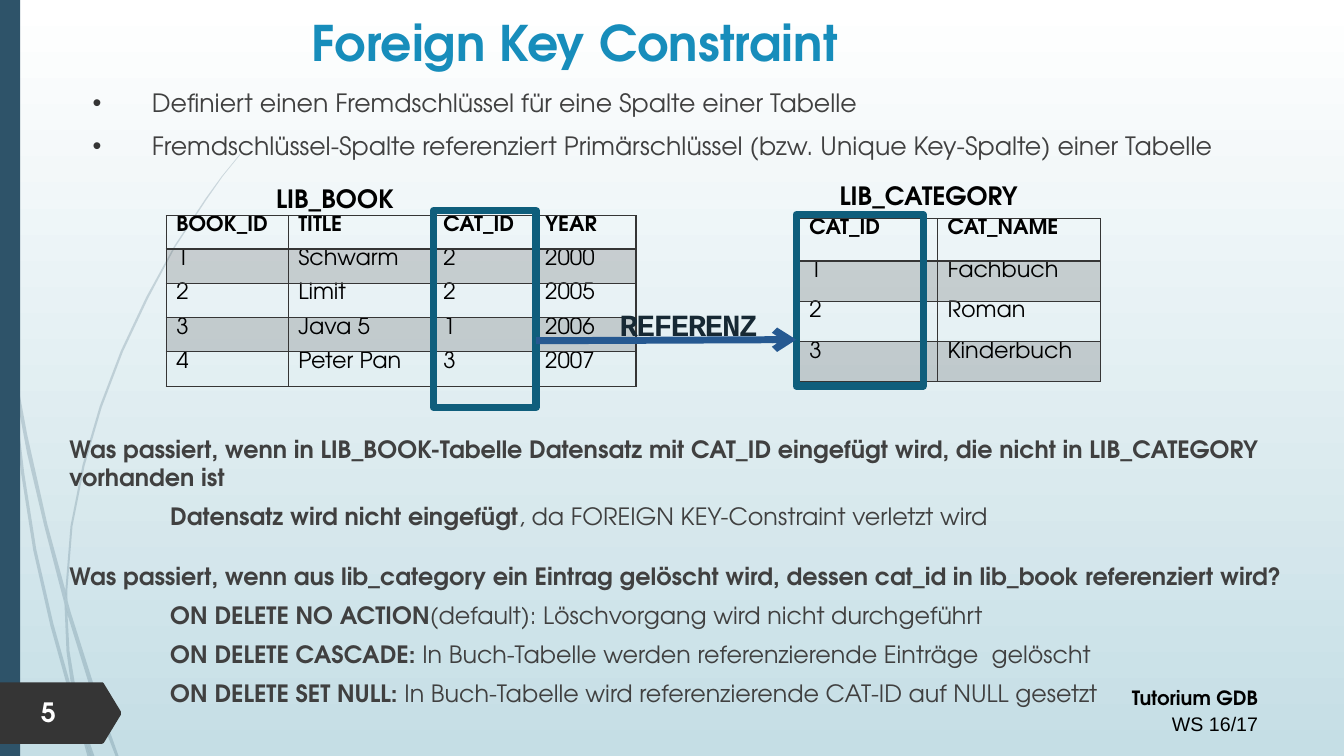
from lxml import etree
from pptx import Presentation
from pptx import util as u
from pptx.dml.color import RGBColor
from pptx.enum import shapes, text
from pptx.oxml.ns import qn

SANS = "TeX Gyre Adventor"
DARK, NAVY, GREY, BLACK = "353535", "2E5369", "404040", "000000"

# Closed outlines of the curved wisps, in hundredths of an inch (0.72 pt)
WISPS = [
    [(8, 350), (6, 322), (0, 282), (0, 299), (8, 344)],
    [(44, 522), (64, 599), (65, 586), (47, 520), (27, 431), (11, 345), (13, 376), (27, 450)],
    [(70, 607), (67, 596), (67, 610), (93, 694), (115, 751), (118, 751), (97, 692)],
    [(91, 751), (94, 751), (80, 711)],
    [(71, 683), (53, 619), (36, 545), (24, 469), (13, 376), (8, 350), (21, 470),
     (33, 546), (50, 621), (70, 693), (77, 714), (75, 707)],
    [(64, 599), (66, 646), (71, 683), (73, 692), (80, 711), (79, 706), (69, 646),
     (67, 610), (67, 608)],
    [(67, 584), (72, 522), (84, 462), (101, 404), (122, 349), (147, 296), (174, 245),
     (205, 198), (221, 175), (238, 154), (238, 153), (220, 175), (204, 197), (173, 244),
     (145, 295), (120, 348), (99, 403), (82, 461), (70, 522), (65, 584), (65, 586), (67, 596)],
    [(77, 714), (87, 751), (90, 751)],
    [(67, 608), (67, 596), (65, 586), (64, 599)],
    [(74, 692), (71, 683), (75, 707), (77, 714), (90, 751), (91, 751), (80, 711)],
]
PAGE_TAB = [(0, 677), (102, 677), (103, 678), (120, 706), (120, 709), (103, 737), (101, 738), (0, 738)]

BOOKS = [("BOOK_ID", "TITLE", "CAT_ID", "YEAR"),
         ("1", "Schwarm", "2", "2000"),
         ("2", "Limit", "2", "2005"),
         ("3", "Java 5", "1", "2006"),
         ("4", "Peter Pan", "3", "2007")]
CATEGORIES = [("CAT_ID", "CAT_NAME"), ("1", "Fachbuch"), ("2", "Roman"), ("3", "Kinderbuch")]

DEFINITION = ["Definiert einen Fremdschlüssel für eine Spalte einer Tabelle",
              "Fremdschlüssel-Spalte referenziert Primärschlüssel "
              "(bzw. Unique Key-Spalte) einer Tabelle"]
# Bold part, regular part, indent, space before
QUESTIONS = [
    ("Was passiert, wenn in LIB_BOOK-Tabelle Datensatz mit CAT_ID eingefügt wird, "
     "die nicht in LIB_CATEGORY vorhanden ist", "", 0, 0),
    ("Datensatz wird nicht eingefügt", ", da FOREIGN KEY-Constraint verletzt wird", 72, 7.5),
    ("Was passiert, wenn aus lib_category ein Eintrag gelöscht wird, "
     "dessen cat_id in lib_book referenziert wird?", "", 0, 22),
    ("ON DELETE NO ACTION", "(default): Löschvorgang wird nicht durchgeführt", 72, 7.5),
    ("ON DELETE CASCADE: ", "In Buch-Tabelle werden referenzierende Einträge  gelöscht", 72, 7.5),
    ("ON DELETE SET NULL: ", "In Buch-Tabelle wird referenzierende CAT-ID auf NULL gesetzt", 72, 7.5),
]


def rgb(value):
    return RGBColor.from_string(value)


def pts(*lengths):
    return [u.Pt(length) for length in lengths]


def add_xml(parent, tag, **attributes):
    return etree.SubElement(parent, qn(tag), attributes)


def paint(fill, holder, color, alpha=None):
    """Solid fill; holder is the XML element the fill sits in."""
    fill.solid()
    fill.fore_color.rgb = rgb(color)
    if alpha:
        add_xml(holder.find(qn("a:solidFill"))[0], "a:alpha", val=str(alpha * 1000))


def write(paragraph, words, size, color=BLACK, bold=False, face=SANS):
    run = paragraph.add_run()
    run.text = words
    for key, value in {"size": u.Pt(size), "bold": bold, "name": face}.items():
        setattr(run.font, key, value)
    run.font.color.rgb = rgb(color)
    return run


def text_frame(slide, box, anchor=text.MSO_ANCHOR.TOP):
    frame = slide.shapes.add_textbox(*pts(*box)).text_frame
    frame.word_wrap = True
    frame.vertical_anchor = anchor
    return frame


def paragraphs(frame, count):
    return [frame.paragraphs[0]] + [frame.add_paragraph() for _ in range(count - 1)]


def label(slide, box, words, size, color=BLACK, **options):
    frame = text_frame(slide, box, options.pop("anchor", text.MSO_ANCHOR.TOP))
    frame.paragraphs[0].alignment = options.pop("align", text.PP_ALIGN.LEFT)
    return frame, write(frame.paragraphs[0], words, size, color, bold=True, **options)


def outline(slide, points, color, alpha=None):
    builder = slide.shapes.build_freeform(*points[0], scale=u.Pt(0.72))
    builder.add_line_segments(points[1:], close=True)
    shape = builder.convert_to_shape()
    shape.shadow.inherit = False
    shape.line.fill.background()
    paint(shape.fill, shape._element.spPr, color, alpha)


def backdrop(slide, height):
    fill = slide.background.fill
    fill.gradient()
    fill.gradient_angle = 270
    for stop, color in zip(fill.gradient_stops, ("FFFFFF", "C5DEE5")):
        stop.color.rgb = rgb(color)
    for wisp in WISPS:
        outline(slide, wisp, NAVY, alpha=20)
    stripe = slide.shapes.add_shape(shapes.MSO_SHAPE.RECTANGLE, *pts(0, 0, 14.4, height))
    stripe.shadow.inherit = False
    stripe.line.fill.background()
    paint(stripe.fill, stripe._element.spPr, NAVY)


def footer(slide, box):
    course, term = paragraphs(text_frame(slide, box), 2)
    write(course, "Tutorium GDB", 14, bold=True)
    write(term, "WS 16/17", 14, face="Arial")
    for line in (course, term):
        line.alignment = text.PP_ALIGN.RIGHT
        line.line_spacing = 1.14
    outline(slide, PAGE_TAB, DARK)
    label(slide, (22.3, box[1] + 10, 50.4, 30.2), "5", 19, "FFFFFF")


def definition(slide, box):
    for line, words in zip(paragraphs(text_frame(slide, box), len(DEFINITION)), DEFINITION):
        line.space_before = u.Pt(0 if words == DEFINITION[0] else 9)
        write(line, words, 18, GREY)
        properties = line._p.get_or_add_pPr()
        properties.set("marL", str(u.Pt(42.5)))
        properties.set("indent", str(u.Pt(-42.5)))
        add_xml(add_xml(properties, "a:buClr"), "a:srgbClr", val=DARK)
        add_xml(properties, "a:buFont", typeface="Arial")
        add_xml(properties, "a:buChar", char="•")


def questions(slide, box):
    lines = paragraphs(text_frame(slide, box), len(QUESTIONS))
    for line, (strong, plain, indent, gap) in zip(lines, QUESTIONS):
        line.space_before = u.Pt(gap)
        line._p.get_or_add_pPr().set("marL", str(u.Pt(indent)))
        write(line, strong, 17, GREY, bold=True)
        if plain:
            write(line, plain, 17, GREY)


def border(cell, side, width):
    line = add_xml(cell._tc.get_or_add_tcPr(), "a:ln" + side, w=str(u.Pt(width)))
    add_xml(add_xml(line, "a:solidFill"), "a:srgbClr", val=DARK)


def data_table(slide, corner, rows, widths, heights):
    frame = slide.shapes.add_table(len(rows), len(widths), *pts(*corner, sum(widths), sum(heights)))
    table = frame.table
    table.first_row = table.horz_banding = False
    for column, width in zip(table.columns, widths):
        column.width = u.Pt(width)
    for r, (row, height) in enumerate(zip(rows, heights)):
        table.rows[r].height = u.Pt(height)
        for c, words in enumerate(row):
            cell = table.cell(r, c)
            cell.margin_top = cell.margin_bottom = 0
            for side, width in {"L": 1, "R": 1, "T": 2 if r == 1 else 1, "B": 1 if r else 2}.items():
                border(cell, side, width)
            if r % 2:
                paint(cell.fill, cell._tc.tcPr, DARK, alpha=20)
            else:
                cell.fill.background()
            write(cell.text_frame.paragraphs[0], words, 16 if r else 15, bold=r == 0)


def key_frame(slide, box):
    """Thick open rectangle around a key column."""
    frame = slide.shapes.add_shape(shapes.MSO_SHAPE.RECTANGLE, *pts(*box))
    frame.shadow.inherit = False
    frame.fill.background()
    frame.line.color.rgb = rgb("0F5E7C")
    frame.line.width = u.Pt(5.25)


def reference(slide, start, end):
    arrow = slide.shapes.add_connector(shapes.MSO_CONNECTOR.STRAIGHT, *pts(*start, *end))
    arrow.line.color.rgb = rgb("265991")
    arrow.line.width = u.Pt(5)
    add_xml(arrow.line._get_or_add_ln(), "a:tailEnd", type="arrow")
    add_xml(arrow._element.spPr, "a:effectLst")
    frame, word = label(slide, (start[0] + 52.6, start[1] - 33.2, 113, 38.9), "REFERENZ", 22,
                        "172934", face="Courier New")
    frame.margin_top = u.Pt(8)
    word._r.get_or_add_rPr().set("spc", "-100")


def main():
    deck = Presentation()
    deck.slide_width, deck.slide_height = pts(960, 540)
    slide = deck.slides.add_slide(deck.slide_layouts[6])
    backdrop(slide, 540)
    footer(slide, (531.4, 483.8, 374.4, 46.1))
    label(slide, (87.8, 7.2, 645.8, 46.1), "Foreign Key Constraint", 35, "178DBB",
          align=text.PP_ALIGN.CENTER, anchor=text.MSO_ANCHOR.MIDDLE)
    questions(slide, (42.5, 306.7, 889.2, 216.7))
    data_table(slide, (118.8, 154.1), BOOKS, (87.1, 103.7, 72.7, 72), [23.8] + [24.5] * 4)
    key_frame(slide, (309.6, 150.5, 73.4, 140.4))
    data_table(slide, (571, 156.2), CATEGORIES, (98.6, 116.6), [30.2] + [28.8] * 3)
    key_frame(slide, (568.8, 153.4, 90.7, 122.4))
    reference(slide, (383, 243.4), (568.8, 242.6))
    label(slide, (592.6, 125.3, 204.5, 28.8), "LIB_CATEGORY", 18)
    label(slide, (190.1, 127.4, 204.5, 28.8), "LIB_BOOK", 18)
    definition(slide, (59, 59, 887, 65.5))
    deck.save("out.pptx")


if __name__ == "__main__":
    main()
